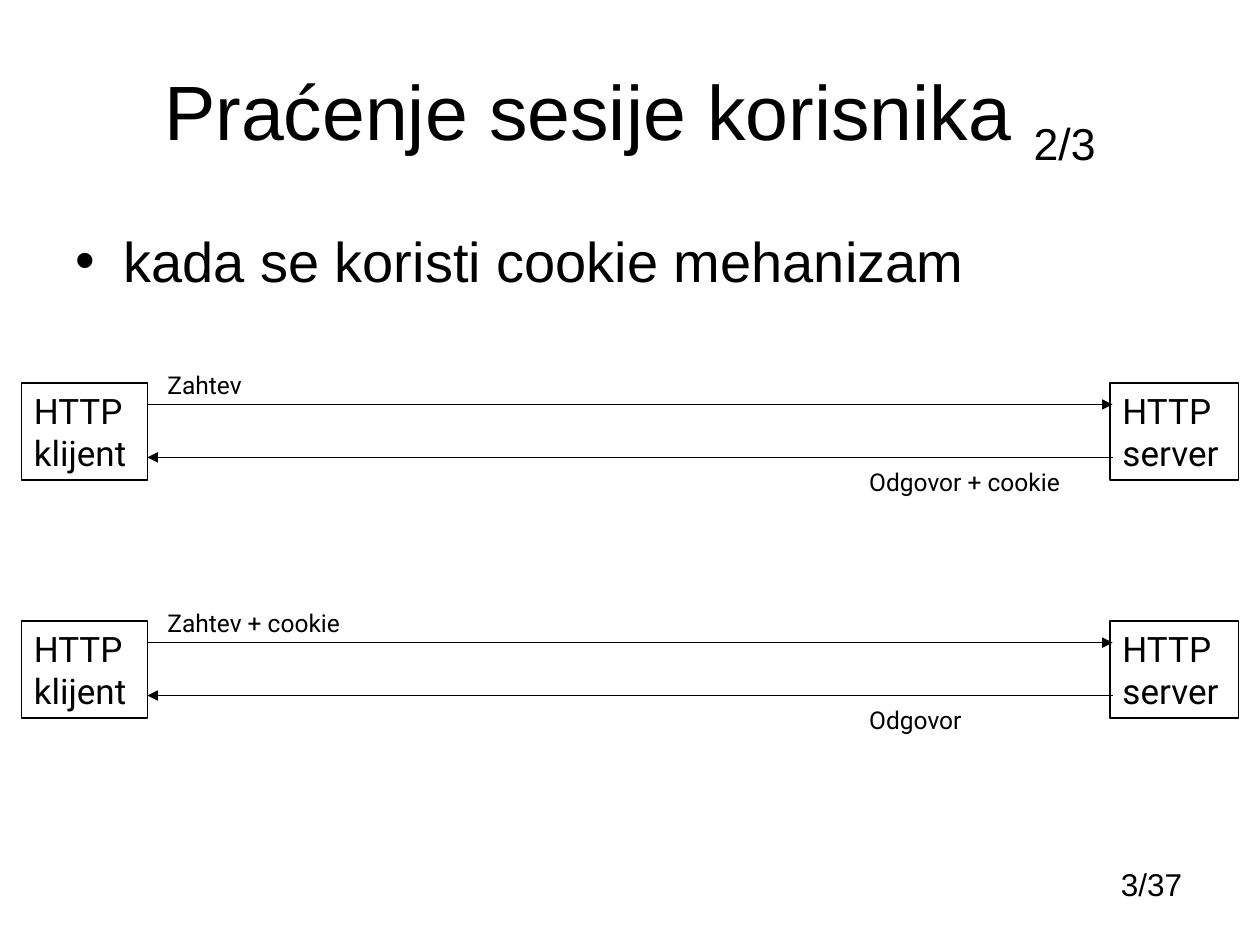
from pptx import Presentation
from pptx.dml.color import RGBColor
from pptx.enum.shapes import MSO_CONNECTOR, MSO_SHAPE
from pptx.enum.text import MSO_ANCHOR, PP_ALIGN
from pptx.oxml.ns import qn
from pptx.util import Inches, Pt
from lxml.etree import SubElement

INK = "000000"
ROUNDS = [
    (2.89, "Zahtev", 0.82, "Odgovor + cookie", 1.81),
    (4.78, "Zahtev + cookie", 1.63, "Odgovor", 1.01),
]


def color(code):
    return RGBColor.from_string(code)


def style(font, size, name):
    looks = {"size": Pt(size), "name": name}
    for key, value in looks.items():
        setattr(font, key, value)
    font.color.rgb = color(INK)


def fill_text(shape, lines, size, name, align=PP_ALIGN.LEFT, wrap=True,
              anchor=MSO_ANCHOR.TOP):
    frame = shape.text_frame
    frame.text = "\n".join(lines)
    for key, value in {"word_wrap": wrap, "vertical_anchor": anchor}.items():
        setattr(frame, key, value)
    for para in frame.paragraphs:
        para.alignment = align
        for run in para.runs:
            style(run.font, size, name)
    return frame.paragraphs[0]


def add_text(slide, box, text, size, name, **looks):
    shape = slide.shapes.add_textbox(*map(Inches, box))
    return fill_text(shape, [text], size, name, **looks)


def add_title(slide, box, text, part):
    para = add_text(slide, box, text, 44, "Arial", align=PP_ALIGN.CENTER,
                    anchor=MSO_ANCHOR.MIDDLE)
    run = para.add_run()
    run.text = part
    style(run.font, 44, "Arial")
    run._r.get_or_add_rPr().set("baseline", "-25000")


def add_bullet(slide, box, text):
    para = add_text(slide, box, text, 32, "Arial")
    props = para._p.get_or_add_pPr()
    indent = Inches(0.38)
    props.set("marL", str(indent))
    props.set("indent", str(-indent))
    SubElement(props, qn("a:buFont"), typeface="Arial")
    SubElement(props, qn("a:buChar"), char="•")


def add_node(slide, box, lines):
    node = slide.shapes.add_shape(MSO_SHAPE.RECTANGLE, *map(Inches, box))
    node.shadow.inherit = False
    node.fill.background()
    node.line.color.rgb = color(INK)
    node.line.width = Pt(0.75)
    fill_text(node, lines, 20, "Roboto", wrap=False)


def add_arrow(slide, left, right, top, end):
    """Draw a level line with its head at "headEnd" (left) or "tailEnd" (right)."""
    arrow = slide.shapes.add_connector(
        MSO_CONNECTOR.STRAIGHT, *map(Inches, (left, top, right, top)))
    arrow.line.color.rgb = color(INK)
    arrow.line.width = Pt(0.75)
    SubElement(arrow.line._get_or_add_ln(), qn(f"a:{end}"), type="triangle")
    SubElement(arrow._element.spPr, qn("a:effectLst"))


def add_exchange(slide, left, top, ask, ask_width, reply, reply_width):
    """Draw one request and its reply between client and server."""
    add_node(slide, (left, top + 0.15, 1, 0.77), ["HTTP", "klijent"])
    add_node(slide, (left + 8.64, top + 0.15, 1.02, 0.77), ["HTTP", "server"])
    for drop, end in ((0.32, "tailEnd"), (0.74, "headEnd")):
        add_arrow(slide, left + 1, left + 8.66, top + drop, end)
    for shift, drop, text, width in ((1.06, 0, ask, ask_width),
                                     (6.63, 0.77, reply, reply_width)):
        add_text(slide, (left + shift, top + drop, width, 0.34), text, 14,
                 "Roboto", wrap=False)


def main():
    deck = Presentation()
    deck.slide_width, deck.slide_height = Inches(10), Inches(7.5)
    slide = deck.slides.add_slide(deck.slide_layouts[6])
    add_text(slide, (7.36, 6.82, 2.12, 0.4), "3/37", 18, "Arial",
             align=PP_ALIGN.RIGHT)
    add_title(slide, (0.5, 0.3, 9, 1.25), "Praćenje sesije korisnika ", "2/3")
    add_bullet(slide, (0.5, 1.75, 9, 0.79), "kada se koristi cookie mehanizam")
    for top, *labels in ROUNDS:
        add_exchange(slide, 0.17, top, *labels)
    deck.save("out.pptx")


if __name__ == "__main__":
    main()
